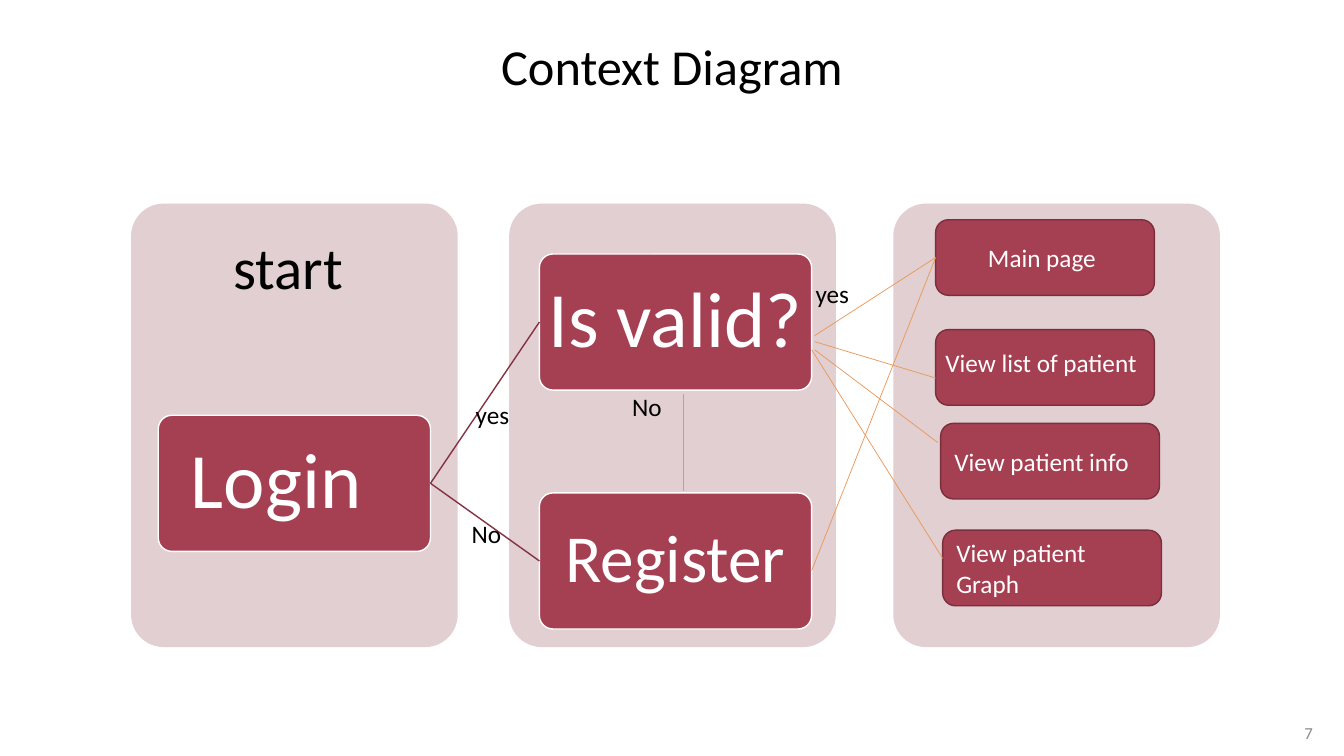
from dataclasses import dataclass

import pptx
import pptx.dml.color
import pptx.enum.shapes
import pptx.enum.text
import pptx.oxml.ns
import pptx.util
from lxml import etree

Inches, Pt = pptx.util.Inches, pptx.util.Pt
ALIGN = pptx.enum.text.PP_ALIGN
ANCHOR = pptx.enum.text.MSO_ANCHOR
LEFT_SIDE, RIGHT_SIDE = 1, 3
FONT = "Calibri"
BLACK, WHITE = "000000", "FFFFFF"
CRIMSON, MAROON, ROSE, ORANGE = "A53F52", "843242", "E1CFD1", "E99757"
PAGE_EDGE, PAGE_NUMBER_GREY = "7A2F3D", "8C8C8C"
TIGHT = (0.08, 0.08, 0.08, 0.08)
NORMAL = (0.1, 0.05, 0.1, 0.05)
PANEL_TOP, PANEL_SIZE = 2.02, (3.24, 4.4)
STEP_SIZE, PAGE_SIZE = (2.7, 1.35), (2.17, 0.75)


@dataclass
class Box:
    text: str
    left: float
    top: float
    size: tuple[float, float]
    points: float = 18
    insets: tuple[float, float, float, float] = NORMAL
    align: int = ALIGN.CENTER
    fill: str = CRIMSON
    edge: str | None = WHITE
    rounding: float = 0.1
    spacing: float = 1.0


@dataclass
class Label:
    text: str
    left: float
    top: float
    width: float
    points: float = 18
    height: float = 0.4
    color: str = BLACK
    align: int = ALIGN.LEFT
    anchor: int = ANCHOR.TOP
    insets: tuple[float, float, float, float] = NORMAL
    spacing: float = 1.0


@dataclass
class Link:
    start: tuple[float, float]
    end: tuple[float, float]
    color: str = ORANGE
    weight: float = 0.5
    source: str | None = None
    target: str | None = None


def rgb(color: str) -> pptx.dml.color.RGBColor:
    return pptx.dml.color.RGBColor.from_string(color)


def write(frame, text: str, color: str, points: float, align: int, anchor: int,
          insets=NORMAL, spacing: float = 1.0) -> None:
    """Fill a text frame with one formatted paragraph."""
    sides = ("margin_left", "margin_top", "margin_right", "margin_bottom")
    layout = {"word_wrap": True, "vertical_anchor": anchor}
    layout.update({side: Inches(inset) for side, inset in zip(sides, insets)})
    for name, value in layout.items():
        setattr(frame, name, value)
    paragraph = frame.paragraphs[0]
    paragraph.alignment = align
    paragraph.line_spacing = spacing
    run = paragraph.add_run()
    run.text = text
    for name, value in {"name": FONT, "size": Pt(points), "bold": False}.items():
        setattr(run.font, name, value)
    run.font.color.rgb = rgb(color)


def draw_box(slide, box: Box):
    shape = slide.shapes.add_shape(
        pptx.enum.shapes.MSO_SHAPE.ROUNDED_RECTANGLE,
        *map(Inches, (box.left, box.top, *box.size)))
    shape.shadow.inherit = False
    shape.adjustments[0] = box.rounding
    shape.fill.solid()
    shape.fill.fore_color.rgb = rgb(box.fill)
    if box.edge:
        shape.line.color.rgb = rgb(box.edge)
        shape.line.width = Pt(1)
    else:
        shape.line.fill.background()
    if box.text:
        write(shape.text_frame, box.text, WHITE, box.points, box.align,
              ANCHOR.MIDDLE, box.insets, box.spacing)
    return shape


def draw_label(slide, label: Label) -> None:
    area = slide.shapes.add_textbox(
        *map(Inches, (label.left, label.top, label.width, label.height)))
    write(area.text_frame, label.text, label.color, label.points, label.align,
          label.anchor, label.insets, label.spacing)


def draw_link(slide, link: Link, boxes: dict) -> None:
    line = slide.shapes.add_connector(
        pptx.enum.shapes.MSO_CONNECTOR.STRAIGHT, *map(Inches, (*link.start, *link.end)))
    line.line.color.rgb = rgb(link.color)
    line.line.width = Pt(link.weight)
    etree.SubElement(line._element.spPr, pptx.oxml.ns.qn("a:effectLst"))
    if link.source:
        line.begin_connect(boxes[link.source], RIGHT_SIDE)
    if link.target:
        line.end_connect(boxes[link.target], LEFT_SIDE)


def step(text: str, left: float, top: float, points: float, insets=TIGHT) -> Box:
    return Box(text, left, top, STEP_SIZE, points, insets, spacing=0.9)


def page(text: str, left: float, top: float, align: int = ALIGN.LEFT, insets=NORMAL) -> Box:
    return Box(text, left, top, PAGE_SIZE, insets=insets, align=align,
               edge=PAGE_EDGE, rounding=0.17)


PANELS = [Box("", left, PANEL_TOP, PANEL_SIZE, fill=ROSE, edge=None)
          for left in (1.3, 5.05, 8.86)]
STEPS = [
    step("Login", 1.57, 4.12, 56, (0.08, 0.08, 0.44, 0.08)),
    step("Is valid?", 5.35, 2.52, 56, (0.04, 0.08, 0.04, 0.08)),
    step("Register", 5.35, 4.89, 48),
]
PAGES = [
    page("Main page", 9.28, 2.18, ALIGN.CENTER, (0.1, 0.05, 0.16, 0.05)),
    page("View list of patient", 9.28, 3.27, insets=(0.06, 0.05, 0.04, 0.14)),
    page("View patient info", 9.33, 4.2),
    page("View patient Graph", 9.35, 5.26),
]
LINKS = [
    Link((4.27, 4.79), (5.35, 3.2), MAROON, 1, "Login", "Is valid?"),
    Link((4.27, 4.79), (5.35, 5.57), MAROON, 1, "Login", "Register"),
    Link((6.78, 3.91), (6.78, 4.87)),
    Link((8.08, 3.33), (9.28, 2.56), target="Main page"),
    Link((8.08, 3.39), (9.28, 3.75)),
    Link((8.08, 3.47), (9.3, 4.39)),
    Link((8.05, 3.47), (9.35, 5.54)),
    Link((8.05, 5.66), (9.28, 2.56), target="Main page"),
]
LABELS = [
    Label("start", 1.3, PANEL_TOP, PANEL_SIZE[0], 42, 1.32, align=ALIGN.CENTER,
          anchor=ANCHOR.MIDDLE, insets=(0.33, 0.33, 0.45, 0.33), spacing=0.9),
    Label("yes", 4.62, 3.91, 0.68),
    Label("No", 4.58, 5.09, 0.61),
    Label("yes", 7.99, 2.71, 0.68),
    Label("No", 6.17, 3.83, 0.61),
    Label("7", 12.63, 7.07, 0.49, 12, color=PAGE_NUMBER_GREY, align=ALIGN.RIGHT,
          anchor=ANCHOR.MIDDLE),
]


def main() -> None:
    deck = pptx.Presentation()
    deck.slide_width, deck.slide_height = Inches(13.33), Inches(7.5)
    slide = deck.slides.add_slide(deck.slide_layouts[5])

    title = slide.shapes.title
    place = {"left": 0.65, "top": 0, "width": 12.03, "height": 1.3}
    for name, value in place.items():
        setattr(title, name, Inches(value))
    write(title.text_frame, "Context Diagram", BLACK, 36, ALIGN.CENTER, ANCHOR.MIDDLE)

    for panel in PANELS:
        draw_box(slide, panel)
    boxes = {box.text: draw_box(slide, box) for box in STEPS + PAGES}
    for link in LINKS:
        draw_link(slide, link, boxes)
    for label in LABELS:
        draw_label(slide, label)
    deck.save("out.pptx")


if __name__ == "__main__":
    main()
